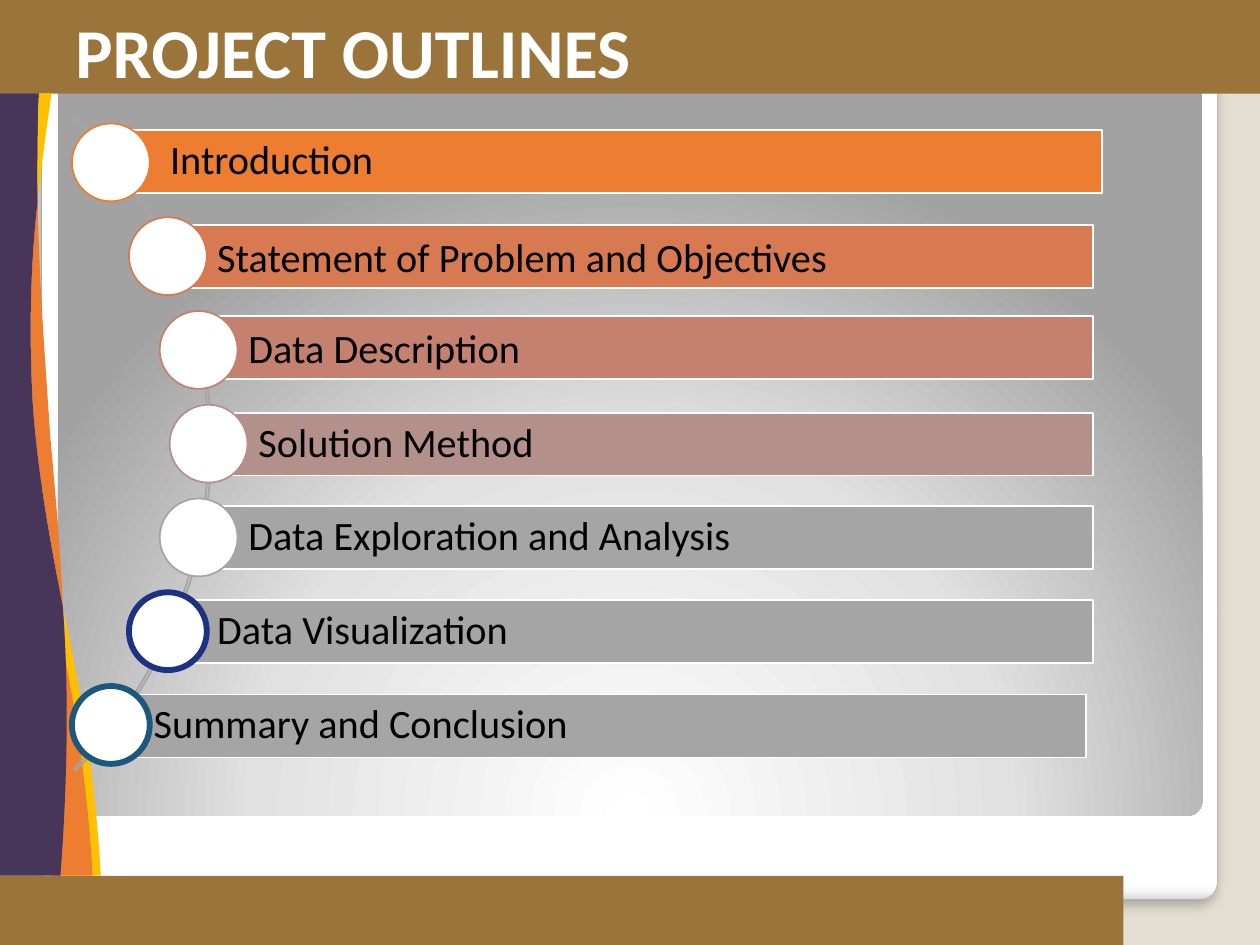
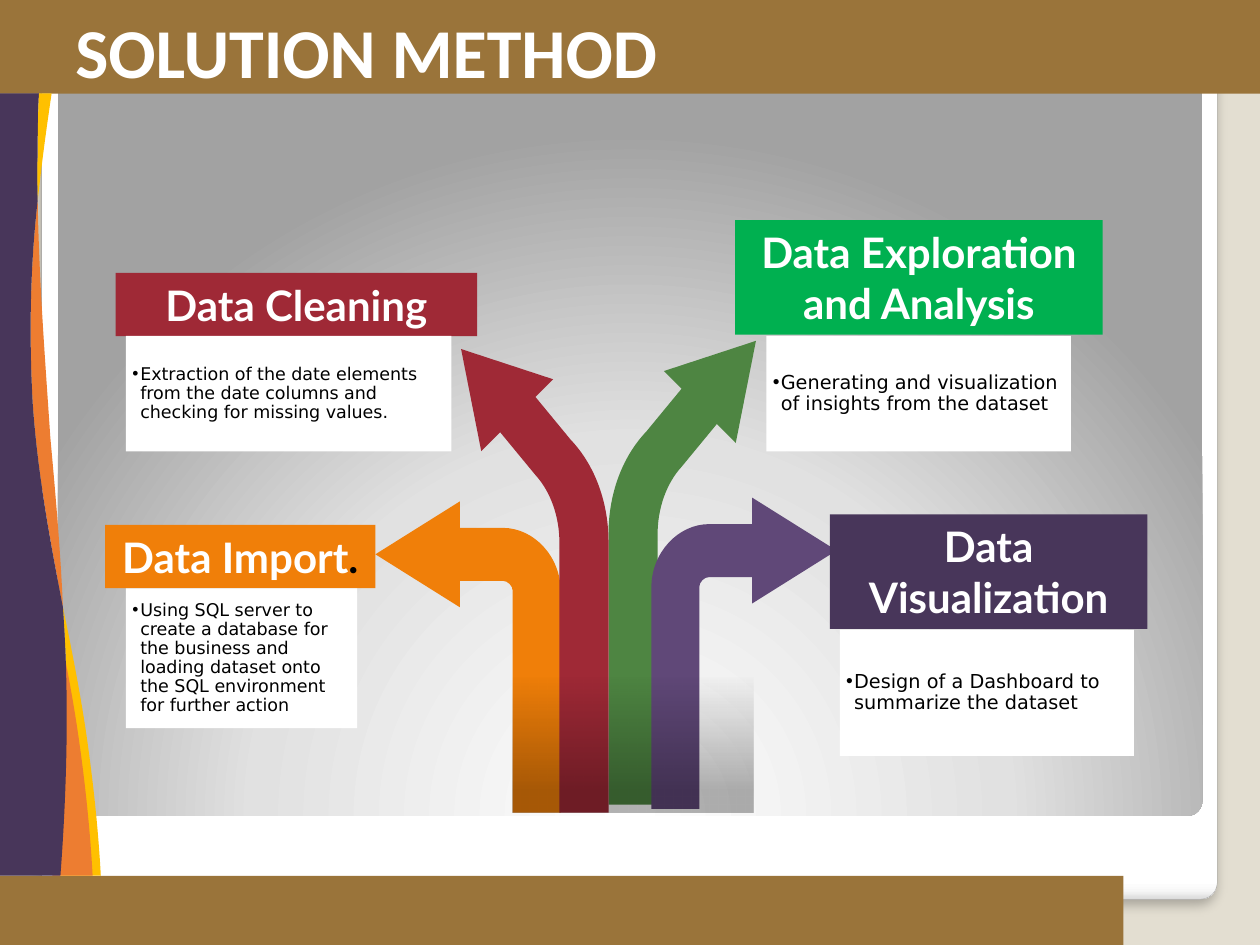
from pptx import Presentation
from pptx import util as u
from pptx.dml.color import RGBColor
from pptx.enum import shapes, text
from pptx.oxml import parse_xml
from pptx.oxml.ns import nsdecls, qn

WHITE = RGBColor(0xFF, 0xFF, 0xFF)
BLACK = RGBColor(0x00, 0x00, 0x00)
SAND = RGBColor(0xE3, 0xDE, 0xD1)
BRONZE = RGBColor(0x9A, 0x74, 0x3A)
PLUM = RGBColor(0x48, 0x36, 0x5A)
GOLD = RGBColor(0xFF, 0xC0, 0x00)
ORANGE = RGBColor(0xED, 0x7D, 0x31)
COPPER = RGBColor(0xD8, 0x7A, 0x51)
ROSE = RGBColor(0xC4, 0x81, 0x70)
TAUPE = RGBColor(0xB4, 0x90, 0x8B)
GREY = RGBColor(0xA5, 0xA5, 0xA5)
NAVY = RGBColor(0x1D, 0x32, 0x82)
TEAL = RGBColor(0x1B, 0x58, 0x7C)
AMBER = RGBColor(0xF0, 0x7F, 0x09)
RED = RGBColor(0x9F, 0x29, 0x36)
LEAF = RGBColor(0x4E, 0x85, 0x42)
GREEN = RGBColor(0x00, 0xB0, 0x50)
VIOLET = RGBColor(0x60, 0x48, 0x78)

RECT = shapes.MSO_SHAPE.RECTANGLE
ROUNDED = shapes.MSO_SHAPE.ROUNDED_RECTANGLE

# Outlines on a 1000 x 750 grid over the slide: pairs are line ends,
# sextuples are Bezier curves (two handles and an end).
WAVE_TAIL = [(50, 482), (52, 510, 53, 539, 53, 569), (53, 612, 51, 655, 48, 695),
             (80, 695), (78, 658, 74, 621, 69, 586), (64, 551, 57, 516, 50, 482)]
WAVE_MIDDLE = [(26, 320), (30, 377, 40, 430, 50, 482), (48, 436, 44, 391, 40, 347),
               (36, 287, 31, 224, 30, 159), (24, 211, 23, 266, 26, 320)]
WAVE_BODY = [(0, 74), (31, 74), (30, 91, 30, 108, 30, 125), (30, 136, 30, 147, 30, 159),
             (24, 211, 23, 266, 26, 320), (30, 377, 40, 430, 50, 482),
             (52, 510, 53, 539, 53, 569), (53, 612, 51, 655, 48, 695), (0, 695)]
WAVE_TIP = [(30, 159), (33, 130, 37, 101, 41, 74), (31, 74),
            (30, 91, 30, 108, 30, 125), (29, 136, 30, 148, 30, 159)]
BENT_ARROW = [(399, 419), (365, 419), (365, 398), (298, 440), (365, 482), (365, 461),
              (399, 461), (403, 461, 407, 465, 407, 469), (407, 645), (445, 645),
              (445, 469), (445, 442, 424, 419, 399, 419)]
STEEP_ARROW = [(366, 277), (439, 301), (425, 315), (453, 349),
               (473, 370, 483, 400, 483, 430), (483, 645), (444, 645), (444, 430),
               (444, 410, 437, 390, 425, 377), (397, 343), (382, 358)]

# Label, circle left, bar left, top and right, bar fill, ring colour, ring width, spacing
OUTLINE_ROWS = [
    ("Introduction", 1.45, 2.44, 2.62, 22.22, ORANGE, ORANGE, 1, 0.9),
    ("Statement of Problem and Objectives", 2.6, 3.39, 4.54, 22.04, COPPER, COPPER, 1, 1.0),
    ("Data Description", 3.22, 4.02, 6.37, 22.04, ROSE, ROSE, 1, 1.0),
    ("Solution Method", 3.42, 4.22, 8.32, 22.04, TAUPE, TAUPE, 1, 0.9),
    ("Data Exploration and Analysis", 3.22, 4.02, 10.2, 22.04, GREY, GREY, 1, 0.9),
    ("Data Visualization", 2.6, 3.39, 12.09, 22.04, GREY, NAVY, 3.35, 0.9),
    ("Summary and Conclusion", 1.45, 2.11, 14, 21.89, GREY, TEAL, 3.35, 0.9),
]

# Heading parts, fill, heading area, detail, detail size, detail area
METHOD_CARDS = [
    ([("Data Import", WHITE), (".", BLACK)], AMBER, (2.12, 10.58, 5.45, 1.28),
     "Using SQL server to create a database for the business and loading dataset "
     "onto the SQL environment for further action", 10, (2.54, 11.86, 4.66, 2.82)),
    ([("Data Cleaning", WHITE)], RED, (2.33, 5.5, 7.29, 1.28),
     "Extraction of the date elements from the date columns and checking for "
     "missing values.", 10, (2.54, 6.77, 6.56, 2.33)),
    ([("Data Exploration and Analysis", WHITE)], GREEN, (14.82, 4.44, 7.41, 2.31),
     "Generating and visualization of insights from the dataset", 11,
     (15.45, 6.77, 6.14, 2.33)),
    ([("Data Visualization", WHITE)], PLUM, (16.73, 10.37, 6.4, 2.31),
     "Design of a Dashboard to summarize the dataset", 11, (16.93, 12.7, 5.93, 2.54)),
]


def style(shape, fill=None, line=None, width=1):
    shape.shadow.inherit = False
    if fill is None:
        shape.fill.background()
    else:
        shape.fill.solid()
        shape.fill.fore_color.rgb = fill
    if line is None:
        shape.line.fill.background()
    else:
        shape.line.color.rgb = line
        shape.line.width = u.Pt(width)
    return shape


def add_box(page, kind, area, fill=None, line=None, width=1):
    box = page.shapes.add_shape(kind, *(u.Cm(length) for length in area))
    return style(box, fill, line, width)


def set_gradient(shape, stops, direction):
    """Fill with (position %, colour, opacity %) stops."""
    marks = "".join(
        f'<a:gs pos="{pos * 1000}"><a:srgbClr val="{colour}">'
        f'<a:alpha val="{opacity * 1000}"/></a:srgbClr></a:gs>'
        for pos, colour, opacity in stops)
    gradient = parse_xml(f'<a:gradFill {nsdecls("a")} rotWithShape="1">'
                         f'<a:gsLst>{marks}</a:gsLst>{direction}</a:gradFill>')
    shape.fill.background()
    properties = shape.element.spPr
    properties.replace(properties.find(qn("a:noFill")), gradient)


def linear(degrees):
    return f'<a:lin ang="{degrees * 60000}" scaled="0"/>'


def add_outline(page, outline, fill):
    """Draw the ends as a polygon, then bend the curved sides."""
    fine = [tuple(round(value * 10) for value in part) for part in outline]
    ends = [part[-2:] for part in fine]
    builder = page.shapes.build_freeform(*ends[0], scale=u.Cm(2.54) / 1000)
    builder.add_line_segments(ends[1:], close=True)
    shape = builder.convert_to_shape()
    left, top = (min(values) for values in zip(*ends))
    for side, part in zip(shape.element.xpath(".//a:lnTo"), fine[1:]):
        if len(part) == 6:
            points = "".join(f'<a:pt x="{x - left}" y="{y - top}"/>'
                             for x, y in zip(part[::2], part[1::2]))
            side.getparent().replace(side, parse_xml(
                f'<a:cubicBezTo {nsdecls("a")}>{points}</a:cubicBezTo>'))
    return style(shape, fill)


def shift(outline, right, down=0, flip=1):
    return [tuple(value + down if index % 2 else flip * value + right
                  for index, value in enumerate(part)) for part in outline]


def add_span(para, words, size, font, colour, bold=False):
    span = para.add_run()
    span.text = words
    span.font.size = u.Pt(size)
    span.font.name = font
    span.font.color.rgb = colour
    span.font.bold = bold


def prepare_text(shape, anchor, align, margins):
    """Set up the frame and return its first paragraph; margins in cm."""
    frame = shape.text_frame
    frame.word_wrap = True
    frame.auto_size = text.MSO_AUTO_SIZE.NONE
    frame.vertical_anchor = anchor
    (frame.margin_left, frame.margin_top,
     frame.margin_right, frame.margin_bottom) = (u.Cm(m) for m in margins)
    para = frame.paragraphs[0]
    para.alignment = align
    return para


def set_title(page, words, width):
    title = page.shapes.title
    title.left, title.top, title.width, title.height = (
        u.Cm(length) for length in (1.27, 0.05, width, 1.96))
    para = prepare_text(title, text.MSO_ANCHOR.TOP, text.PP_ALIGN.LEFT,
                        (0.25, 0.13, 0.25, 0.13))
    add_span(para, words, 40, "Calibri", WHITE, bold=True)


def decorate_layout(deck, layout, page):
    """Draw the shared frame on the page, then hand it to the layout."""
    fill = deck.slide_master.background.fill
    fill.solid()
    fill.fore_color.rgb = SAND

    # Panels
    panel = add_box(page, ROUNDED, (0.84, 0.91, 23.7, 17.22), WHITE, GREY, 0.16)
    set_gradient(panel, [(0, WHITE, 100), (98, WHITE, 100), (99, "F7F7F7", 100),
                         (100, "DADADA", 100)], linear(90))
    panel.element.spPr.find(qn("a:effectLst")).append(parse_xml(
        f'<a:outerShdw {nsdecls("a")} blurRad="{u.Pt(6)}" dist="{u.Pt(4)}" dir="5400000">'
        '<a:srgbClr val="000000"><a:alpha val="25000"/></a:srgbClr></a:outerShdw>'))
    glow = add_box(page, ROUNDED, (1.17, 1.19, 23.07, 15.26))
    set_gradient(glow, [(0, WHITE, 100), (55, "E1E1E1", 100), (100, "A2A2A2", 100)],
                 '<a:path path="circle"><a:fillToRect l="50000" t="175000" '
                 'r="50000" b="-75000"/></a:path>')
    for shape in (panel, glow):
        shape.adjustments[0] = 0.02

    # Bands
    add_box(page, RECT, (-0.08, 0, 25.48, 1.89), BRONZE)
    add_box(page, RECT, (0, 17.66, 22.65, 1.39), BRONZE)

    # Wave on the left
    add_outline(page, WAVE_TAIL, GOLD)
    add_outline(page, WAVE_MIDDLE, ORANGE)
    add_outline(page, shift(WAVE_TAIL, -6.5), ORANGE)
    add_outline(page, WAVE_BODY, PLUM)
    add_outline(page, WAVE_TIP, GOLD)

    drawn = [shape for shape in page.shapes if not shape.is_placeholder]
    for number, shape in enumerate(drawn, start=100):
        shape.element.xpath(".//p:cNvPr")[0].set("id", str(number))
        layout.shapes.element.append(shape.element)


def add_outline_row(page, index, row):
    label, circle_left, left, top, right, fill, ring, ring_width, spacing = row
    bar = add_box(page, RECT, (left, top, right - left, 1.27), fill, WHITE)
    para = prepare_text(bar, text.MSO_ANCHOR.MIDDLE, text.PP_ALIGN.LEFT,
                        (0.99, 0.15, 0.15, 0.15))
    para.line_spacing = spacing
    add_span(para, label, 23, "Calibri", BLACK)
    add_box(page, shapes.MSO_SHAPE.OVAL, (circle_left, 2.49 + 1.89 * index, 1.57, 1.57),
            WHITE, ring, ring_width)


def add_card(page, heading, fill, heading_area, detail, size, detail_area):
    box = add_box(page, RECT, heading_area, fill)
    para = prepare_text(box, text.MSO_ANCHOR.TOP, text.PP_ALIGN.CENTER,
                        (0, 0.13, 0, 0.13))
    for words, colour in heading:
        add_span(para, words, 24, "Lato", colour, bold=True)

    box = add_box(page, RECT, detail_area, WHITE)
    para = prepare_text(box, text.MSO_ANCHOR.MIDDLE, text.PP_ALIGN.LEFT, (0.13,) * 4)
    para.level = 1
    para.line_spacing = 0.9
    indent = u.Cm(0.16)
    properties = para._p.get_or_add_pPr()
    properties.set("marL", str(indent))
    properties.set("indent", str(-indent))
    properties.append(parse_xml(f'<a:buFont {nsdecls("a")} typeface="Arial"/>'))
    properties.append(parse_xml(f'<a:buChar {nsdecls("a")} char="•"/>'))
    add_span(para, detail, size, "DejaVu Sans", BLACK)


def fill_outline_page(page):
    set_title(page, "PROJECT OUTLINES", 15.67)
    arc = add_box(page, shapes.MSO_SHAPE.BLOCK_ARC, (-14.38, -0.38, 18.64, 18.64),
                  line=GREY)
    # Angles from 315 to 45 degrees, hairline thickness
    for index, value in enumerate((189, 27, 3 / 1000)):
        arc.adjustments[index] = value
    for index, row in enumerate(OUTLINE_ROWS):
        add_outline_row(page, index, row)


def fill_method_page(page):
    set_title(page, "SOLUTION METHOD", 18.42)
    # Arrows: the right-hand pair mirrors the left-hand pair
    add_outline(page, BENT_ARROW, AMBER)
    add_outline(page, shift(STEEP_ARROW, 966, -6.5, flip=-1), LEAF)
    add_outline(page, shift(BENT_ARROW, 962, -3, flip=-1), VIOLET)
    add_outline(page, STEEP_ARROW, RED)
    shade = add_box(page, RECT, (10.34, 13.64, 4.85, 2.74))
    set_gradient(shade, [(17, BLACK, 30), (100, BLACK, 0)], linear(270))
    for card in METHOD_CARDS:
        add_card(page, *card)


def main():
    deck = Presentation()
    deck.slide_width, deck.slide_height = u.Cm(25.4), u.Cm(19.05)
    layout = deck.slide_layouts[5]
    outline_page = deck.slides.add_slide(layout)
    decorate_layout(deck, layout, outline_page)
    fill_outline_page(outline_page)
    fill_method_page(deck.slides.add_slide(layout))
    deck.save("out.pptx")


if __name__ == "__main__":
    main()
